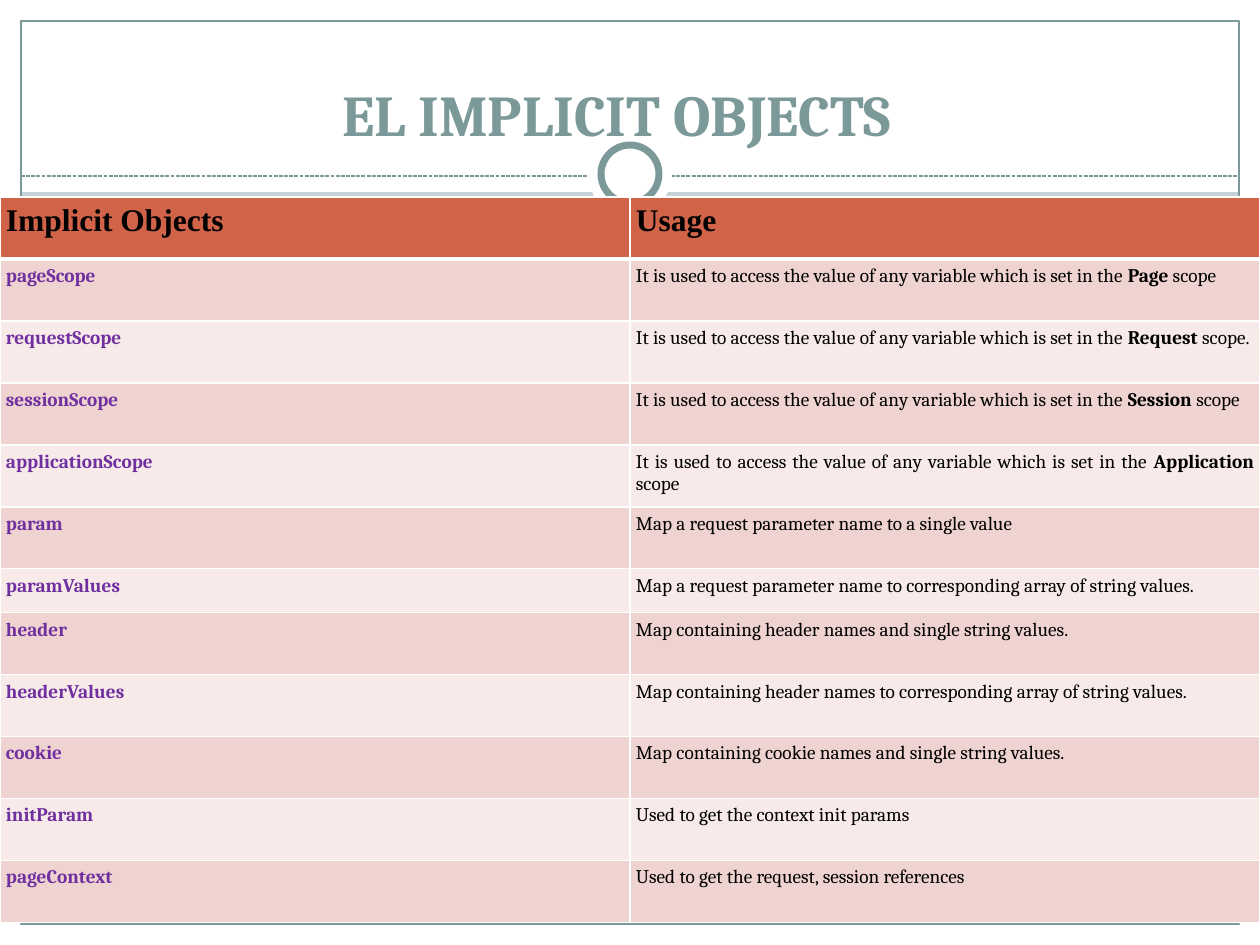
from lxml import etree
from pptx import Presentation
from pptx import util as u
from pptx.dml.color import RGBColor
from pptx.enum import dml, shapes, text
from pptx.oxml import ns

WHITE = RGBColor(0xFF, 0xFF, 0xFF)
BLACK = RGBColor(0x00, 0x00, 0x00)
BACKDROP = RGBColor(0xC5, 0xD1, 0xD7)
BAND = RGBColor(0x8C, 0xAD, 0xAE)
TEAL = RGBColor(0x7C, 0x99, 0x9A)
PURPLE = RGBColor(0x70, 0x30, 0xA0)
HEADER = RGBColor(0xD1, 0x63, 0x49)
STRIPES = (RGBColor(0xEE, 0xD3, 0xD0), RGBColor(0xF7, 0xEA, 0xE9))

SCOPE_USAGE = "It is used to access the value of any variable which is set in the *{}* scope{}"
HEADINGS = ("Implicit Objects", "Usage")
OBJECTS = (
    ("pageScope", SCOPE_USAGE.format("Page", "")),
    ("requestScope", SCOPE_USAGE.format("Request", ".")),
    ("sessionScope", SCOPE_USAGE.format("Session", "")),
    ("applicationScope", SCOPE_USAGE.format("Application", "")),
    ("param", "Map a request parameter name to a single value"),
    ("paramValues", "Map a request parameter name to corresponding array of string values."),
    ("header", "Map containing header names and single string values."),
    ("headerValues", "Map containing header names to corresponding array of string values."),
    ("cookie", "Map containing cookie names and single string values."),
    ("initParam", "Used to get the context init params"),
    ("pageContext", "Used to get the request, session references"),
)
ROW_HEIGHT, SHORT_ROW_HEIGHT = 62, 44


def px(length):
    """Turn pixels, 126 to the inch, into EMU."""
    return u.Emu(round(length * 914400 / 126))


def add_panel(page, left, top, width, height, fill=None, line=None,
              weight=0.75, kind=shapes.MSO_SHAPE.RECTANGLE):
    """Add a frame shape with an optional fill and outline."""
    panel = page.shapes.add_shape(kind, px(left), px(top), px(width), px(height))
    panel.shadow.inherit = False
    if fill is None:
        panel.fill.background()
    else:
        panel.fill.solid()
        panel.fill.fore_color.rgb = fill
    if line is None:
        panel.line.fill.background()
    else:
        panel.line.color.rgb = line
        panel.line.width = u.Pt(weight)


def add_divider(page, left, right, top):
    """Add the dashed line under the title."""
    divider = page.shapes.add_connector(
        shapes.MSO_CONNECTOR.STRAIGHT, px(left), px(top), px(right), px(top))
    divider.line.color.rgb = TEAL
    divider.line.width = u.Pt(0.75)
    divider.line.dash_style = dml.MSO_LINE.SQUARE_DOT
    etree.SubElement(divider._element.spPr, ns.qn("a:effectLst"))


def add_frame(page):
    """Draw the margins, border, divider and ring around the title."""
    for margin in ((0, 924, 1260, 21), (0, 0, 1260, 192),
                   (0, 0, 21, 945), (1239, 0, 21, 945)):
        add_panel(page, *margin, fill=WHITE)
    add_panel(page, 21, 881, 1218, 43, fill=BAND)
    add_panel(page, 21, 21, 1218, 903, line=TEAL)
    add_divider(page, 21, 1239, 176)
    oval = shapes.MSO_SHAPE.OVAL
    add_panel(page, 588, 132, 84, 84, fill=WHITE, kind=oval)
    add_panel(page, 601, 145, 58, 58, fill=WHITE, line=TEAL, weight=4, kind=oval)


def style_font(font, name, size, color, bold):
    """Set the face, size, colour and weight of a font."""
    font.name, font.size, font.bold = name, u.Pt(size), bold
    font.color.rgb = color


def place_title(page, wording):
    """Fill the title placeholder and bring it above the frame."""
    title = page.shapes.title
    title.left, title.top, title.width, title.height = px(29), px(49), px(1175), px(105)
    frame = title.text_frame
    frame.text = wording
    frame.word_wrap = True
    frame.vertical_anchor = text.MSO_ANCHOR.BOTTOM
    para = frame.paragraphs[0]
    para.alignment = text.PP_ALIGN.CENTER
    style_font(para.runs[0].font, "Cambria", 33, TEAL, True)
    page.shapes._spTree.append(title._element)


def set_borders(cell, bottom_weight):
    """Give a cell white borders with its own bottom weight."""
    properties = cell._tc.get_or_add_tcPr()
    for side, weight in (("L", 1), ("R", 1), ("T", 1), ("B", bottom_weight)):
        edge = etree.SubElement(properties, ns.qn("a:ln" + side), w=str(u.Pt(weight)))
        fill = etree.SubElement(edge, ns.qn("a:solidFill"))
        etree.SubElement(fill, ns.qn("a:srgbClr"), val=str(WHITE))


def fill_cell(cell, wording, fill, font, size, color, bold, align, bottom_weight=1):
    """Write a cell, with the words between asterisks in bold."""
    set_borders(cell, bottom_weight)
    cell.fill.solid()
    cell.fill.fore_color.rgb = fill
    cell.margin_left = cell.margin_right = cell.margin_top = cell.margin_bottom = px(6)
    para = cell.text_frame.paragraphs[0]
    para.alignment = align
    for index, part in enumerate(wording.split("*")):
        span = para.add_run()
        span.text = part
        style_font(span.font, font, size, color, bold or index % 2 == 1)


def add_objects_table(page):
    """Add the table of implicit objects and their usage."""
    heights = [SHORT_ROW_HEIGHT if name == "paramValues" else ROW_HEIGHT
               for name in (HEADINGS[0], *(name for name, usage in OBJECTS))]
    table = page.shapes.add_table(
        len(heights), 2, px(0), px(197), px(1260), px(sum(heights))).table
    for row, height in zip(table.rows, heights):
        row.height = px(height)
    for column, heading in enumerate(HEADINGS):
        fill_cell(table.cell(0, column), heading, HEADER, "Times New Roman", 18,
                  BLACK, True, text.PP_ALIGN.LEFT, bottom_weight=3)
    for index, (name, usage) in enumerate(OBJECTS):
        fill = STRIPES[index % 2]
        for column, (wording, color, bold) in enumerate(
                ((name, PURPLE, True), (usage, BLACK, False))):
            fill_cell(table.cell(index + 1, column), wording, fill, "Cambria", 11,
                      color, bold, text.PP_ALIGN.JUSTIFY)


def main():
    """Build and save the slide."""
    deck = Presentation()
    deck.slide_width, deck.slide_height = px(1260), px(945)
    page = deck.slides.add_slide(deck.slide_layouts[5])
    page.background.fill.solid()
    page.background.fill.fore_color.rgb = BACKDROP
    add_frame(page)
    place_title(page, "EL IMPLICIT OBJECTS")
    add_objects_table(page)
    deck.save("out.pptx")


if __name__ == "__main__":
    main()
